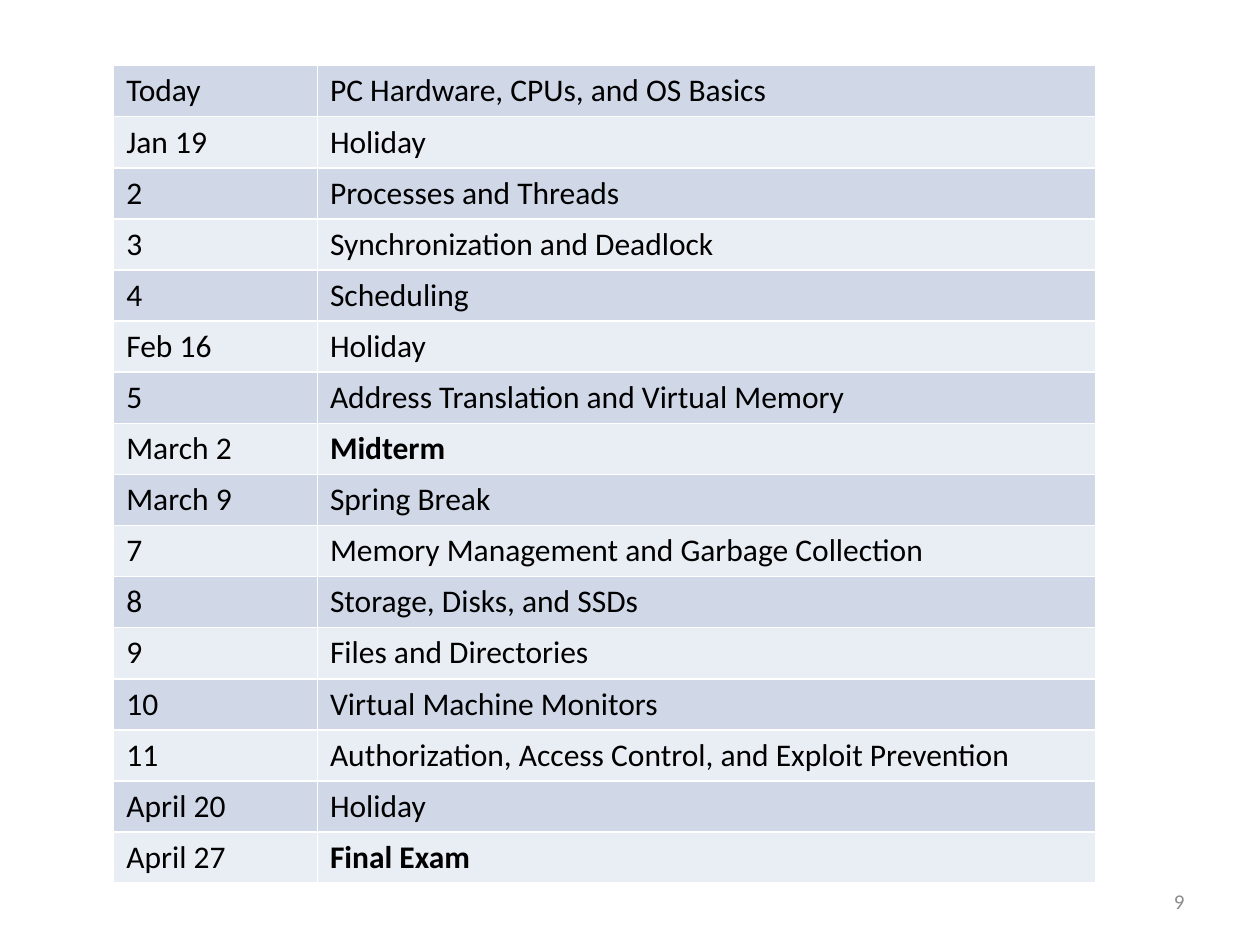
import pptx
import pptx.dml.color
import pptx.enum.text
import pptx.oxml
import pptx.oxml.ns
import pptx.util

Pt = pptx.util.Pt
Align = pptx.enum.text.PP_ALIGN
Anchor = pptx.enum.text.MSO_ANCHOR

# Each row: date or week, topic
PLAN = [
    ("Today", "PC Hardware, CPUs, and OS Basics"),
    ("Jan 19", "Holiday"),
    ("2", "Processes and Threads"),
    ("3", "Synchronization and Deadlock"),
    ("4", "Scheduling"),
    ("Feb 16", "Holiday"),
    ("5", "Address Translation and Virtual Memory"),
    ("March 2", "Midterm"),
    ("March 9", "Spring Break"),
    ("7", "Memory Management and Garbage Collection"),
    ("8", "Storage, Disks, and SSDs"),
    ("9", "Files and Directories"),
    ("10", "Virtual Machine Monitors"),
    ("11", "Authorization, Access Control, and Exploit Prevention"),
    ("April 20", "Holiday"),
    ("April 27", "Final Exam"),
]
EXAMS = {"Midterm", "Final Exam"}


def color(code):
    return pptx.dml.color.RGBColor.from_string(code)


def write(frame, text, font="Calibri", size=18, ink="000000", bold=False,
          align=Align.LEFT):
    par = frame.paragraphs[0]
    par.alignment = align
    run = par.add_run()
    run.text = text
    run.font.name = font
    run.font.size = Pt(size)
    run.font.bold = bold
    run.font.color.rgb = color(ink)


class Deck:
    bands = ("D0D8E8", "E9EDF4")
    rule = "FFFFFF"
    muted = "8C8C8C"

    def __init__(self, width, height):
        self.file = pptx.Presentation()
        self.file.slide_width = Pt(width)
        self.file.slide_height = Pt(height)
        self.slide = self.file.slides.add_slide(self.file.slide_layouts[6])

    def border(self, cell):
        props = cell._tc.get_or_add_tcPr()
        for spot, side in enumerate(("lnL", "lnR", "lnT", "lnB")):
            line = pptx.oxml.parse_xml(
                f'<a:{side} {pptx.oxml.ns.nsdecls("a")} w="{Pt(1)}">'
                f'<a:solidFill><a:srgbClr val="{self.rule}"/></a:solidFill>'
                f'</a:{side}>')
            props.insert(spot, line)

    def table(self, rows, left, top, widths, height):
        frame = self.slide.shapes.add_table(
            len(rows), len(widths), Pt(left), Pt(top),
            Pt(sum(widths)), Pt(height * len(rows)))
        grid = frame.table
        grid.first_row = False
        for col, width in zip(grid.columns, widths):
            col.width = Pt(width)
        for i, row in enumerate(rows):
            grid.rows[i].height = Pt(height)
            for j, text in enumerate(row):
                cell = grid.cell(i, j)
                cell.fill.solid()
                cell.fill.fore_color.rgb = color(self.bands[i % 2])
                self.border(cell)
                write(cell.text_frame, text, bold=text in EXAMS)

    def number(self, text, left, top, width, height):
        box = self.slide.shapes.add_textbox(
            Pt(left), Pt(top), Pt(width), Pt(height))
        frame = box.text_frame
        frame.word_wrap = True
        frame.vertical_anchor = Anchor.MIDDLE
        write(frame, text, size=12, ink=self.muted, align=Align.RIGHT)


def main():
    deck = Deck(720, 540)
    # Page number
    deck.number("9", 516, 500.5, 168, 28.75)
    # Course schedule
    deck.table(PLAN, 65, 37.5, (116.4, 444.6), 29.2)
    deck.file.save("out.pptx")


if __name__ == "__main__":
    main()
